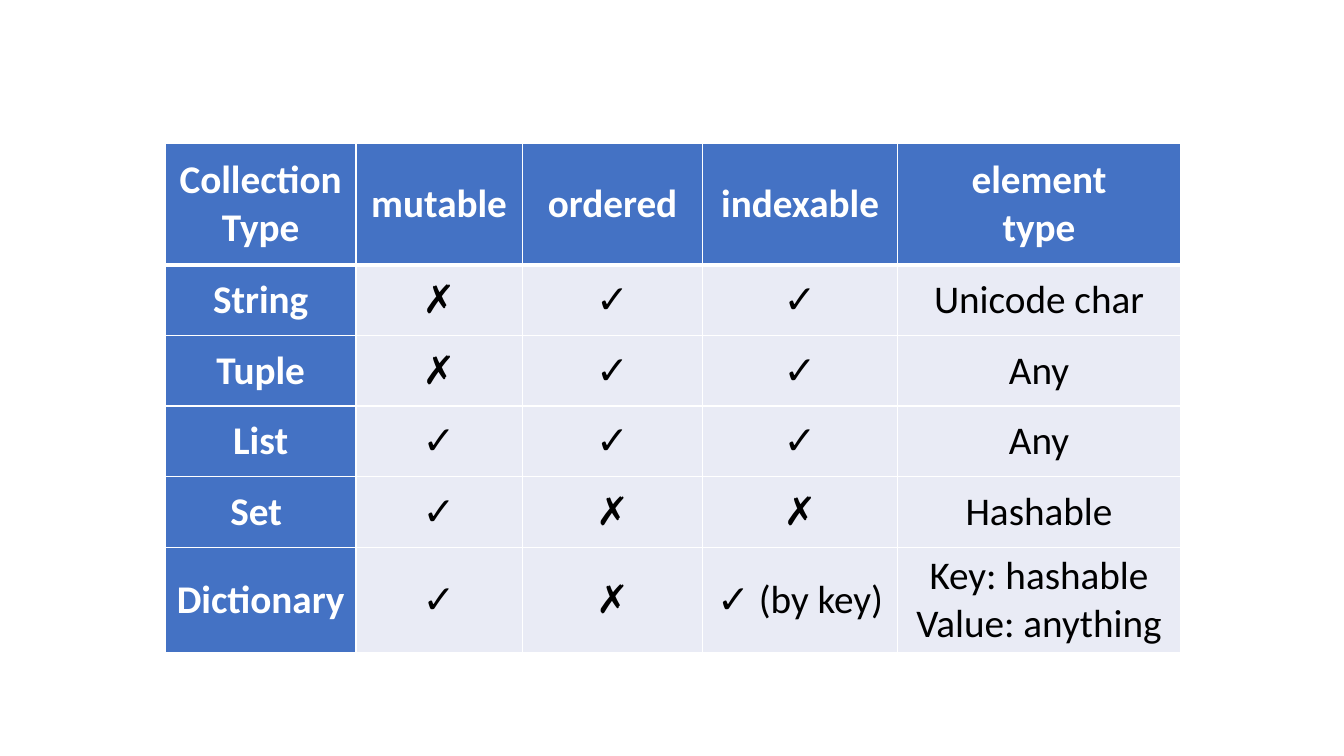
from lxml.etree import SubElement
from pptx import Presentation
from pptx.dml.color import RGBColor
from pptx.enum.text import MSO_ANCHOR, PP_ALIGN
from pptx.oxml.ns import qn
from pptx.util import Inches, Pt

COLORS = {"head": "4472C4", "body": "E9EBF5", "line": "FFFFFF",
          "light": "FFFFFF", "dark": "000000"}

YES, NO = "✓", "✗"
ROWS = [
    ["Collection\nType", "mutable", "ordered", "indexable", "element\ntype"],
    ["String", NO, YES, YES, "Unicode char"],
    ["Tuple", NO, YES, YES, "Any"],
    ["List", YES, YES, YES, "Any"],
    ["Set ", YES, NO, NO, "Hashable"],
    ["Dictionary", YES, NO, YES + " (by key)", "Key: hashable\nValue: anything"],
]
# Percent of the slide's width and height
WIDTHS = [14.18, 12.38, 13.43, 14.48, 21.08]
HEIGHTS = [16.13] + [9.33] * 4 + [14]


def write(frame, text, font="Calibri", size=28, color="dark", bold=False,
          align=PP_ALIGN.CENTER):
    """Fill a text frame, one paragraph per line of text."""
    frame.text = text
    for para in frame.paragraphs:
        para.alignment = align
        style = para.runs[0].font
        style.name, style.size, style.bold = font, Pt(size), bold
        style.color.rgb = RGBColor.from_string(COLORS[color])


class Deck:
    def __init__(self):
        self.show = Presentation()
        self.show.slide_width = Inches(13.33)
        self.show.slide_height = Inches(7.5)
        self.slide = self.show.slides.add_slide(self.show.slide_layouts[6])

    def across(self, share):
        return round(self.show.slide_width * share / 100)

    def down(self, share):
        return round(self.show.slide_height * share / 100)

    def table(self, left, top, widths, heights, rows):
        grid = self.slide.shapes.add_table(
            len(rows), len(widths), self.across(left), self.down(top),
            self.across(sum(widths)), self.down(sum(heights))).table
        for col, share in zip(grid.columns, widths):
            col.width = self.across(share)
        for row, share in zip(grid.rows, heights):
            row.height = self.down(share)
        for r, texts in enumerate(rows):
            for c, text in enumerate(texts):
                self.cell(grid.cell(r, c), text, r == 0 or c == 0)
                self.edge(grid.cell(r, c), L=1, R=1, T=3 if r == 1 else 1,
                          B=3 if r == 0 else 1)

    def cell(self, cell, text, head):
        cell.vertical_anchor = MSO_ANCHOR.MIDDLE
        cell.fill.solid()
        cell.fill.fore_color.rgb = RGBColor.from_string(
            COLORS["head" if head else "body"])
        write(cell.text_frame, text, color="light" if head else "dark", bold=head)

    def edge(self, cell, **sides):
        """Draw cell borders; widths in points, sides in schema order."""
        props = cell._tc.get_or_add_tcPr()
        for spot, (side, width) in enumerate(sides.items()):
            line = SubElement(props, qn("a:ln" + side), w=str(Pt(width)))
            fill = SubElement(line, qn("a:solidFill"))
            SubElement(fill, qn("a:srgbClr"), val=COLORS["line"])
            props.insert(spot, line)


def main():
    deck = Deck()
    deck.table(12.3, 18.93, WIDTHS, HEIGHTS, ROWS)
    deck.show.save("out.pptx")


if __name__ == "__main__":
    main()
